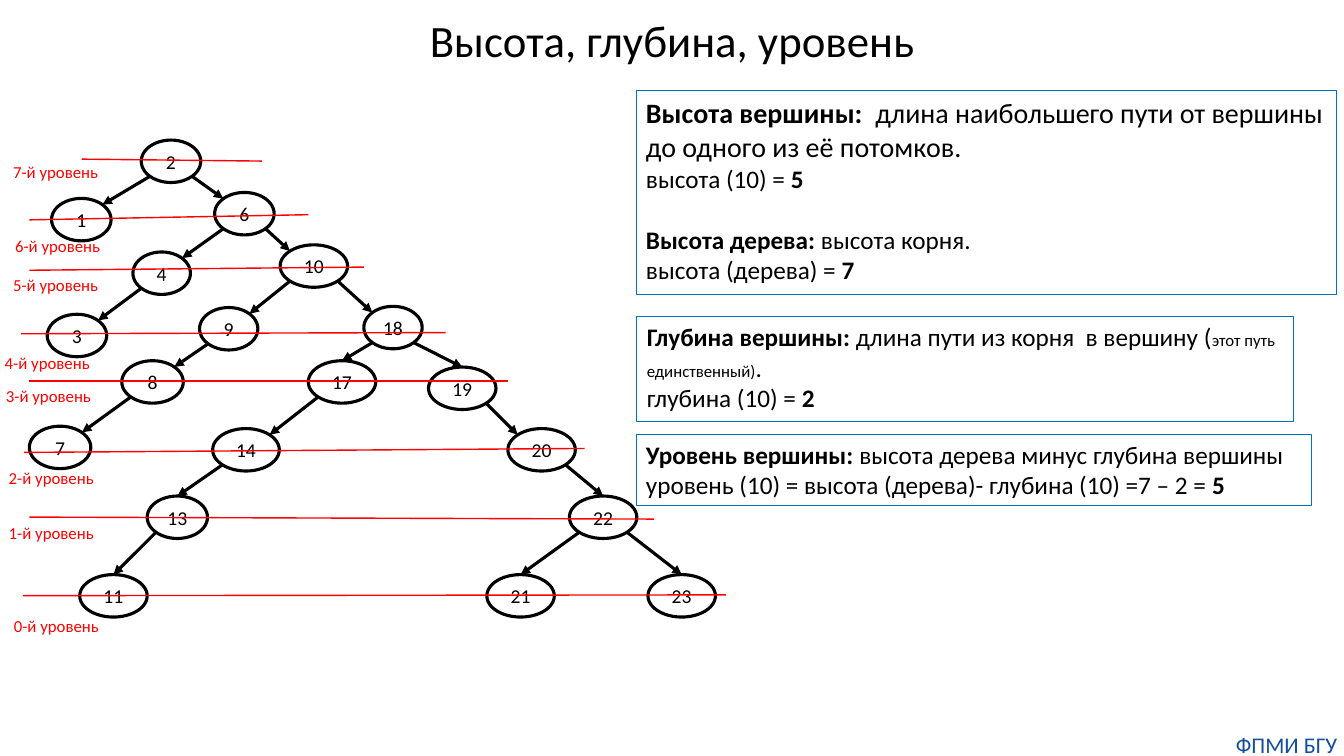
from pptx import Presentation
from pptx.dml.color import RGBColor
from pptx.enum.shapes import MSO_CONNECTOR, MSO_SHAPE
from pptx.enum.text import MSO_ANCHOR, MSO_AUTO_SIZE, PP_ALIGN
from pptx.oxml.ns import qn
from pptx.util import Cm, Pt
from lxml.etree import SubElement

COLORS = {"ink": "000000", "level": "FF0000", "frame": "0070C0", "footer": "144E9D"}
FONT = "Calibri"
TITLE = "Высота, глубина, уровень"
FOOTER = "ФПМИ БГУ"

# Tree vertices: key -> left, top, width (cm)
VERTEX_HEIGHT = 1.07
VERTICES = {
    2: (3.56, 3.53, 1.5), 1: (1.3, 5, 1.5), 6: (5.41, 4.85, 1.5),
    4: (3.35, 6.35, 1.45), 10: (7.06, 6.17, 1.7), 3: (1.19, 7.92, 1.5),
    9: (5.03, 7.75, 1.47), 18: (9.17, 7.72, 1.47), 8: (3.07, 9.09, 1.55),
    17: (7.77, 9.09, 1.7), 19: (10.8, 9.25, 1.7), 7: (0.74, 10.74, 1.55),
    14: (5.36, 10.8, 1.68), 20: (12.8, 10.8, 1.7), 13: (3.71, 12.5, 1.52),
    22: (14.35, 12.5, 1.7), 11: (2.01, 14.48, 1.7), 21: (12.27, 14.48, 1.7),
    23: (16.33, 14.48, 1.7),
}
CHILDREN = {2: (1, 6), 6: (4, 10), 4: (3,), 10: (9, 18), 9: (8,), 8: (7,),
            18: (17, 19), 17: (14,), 14: (13,), 13: (11,), 19: (20,),
            20: (22,), 22: (21, 23)}
ENTERED_AT_TOP = {17, 19, 13, 11, 22, 21, 23}

# Levels: number -> label position, line ends (cm)
LEVELS = {
    7: ((0.08, 3.94), (2.06, 4.01, 6.6, 4.06)),
    6: ((0.13, 5.82), (0.74, 5.54, 7.77, 5.41)),
    5: ((0.08, 6.81), (0.74, 6.81, 9.17, 6.73)),
    4: ((-0.13, 8.76), (0.53, 8.41, 11.23, 8.38)),
    3: ((-0.1, 9.6), (0.74, 9.6, 12.8, 9.6)),
    2: ((-0.03, 11.66), (0.61, 11.4, 14.73, 11.3)),
    1: ((-0.03, 13.06), (0.74, 13.03, 16.48, 13.08)),
    0: ((0.1, 15.39), (0.58, 15.01, 18.29, 14.99)),
}

# Definitions: box, then paragraphs as (space before, runs of (text, size, bold))
DEFINITIONS = [
    ((16.03, 2.29, 17.65, 5.13), [
        (0, [("Высота вершины:  ", 20, True),
             ("длина наибольшего пути от вершины до одного из её потомков. ", 20, False)]),
        (0, [("высота (10) = ", 18, False), ("5 ", 18, True)]),
        (22, [("Высота дерева: ", 18, True), ("высота корня.", 18, False)]),
        (0, [("высота (дерева) = ", 18, False), ("7", 18, True)])]),
    ((16.05, 7.98, 16.54, 2.64), [
        (0, [("Глубина вершины: ", 18, True), ("длина пути из корня  в вершину (", 18, False),
             ("этот путь единственный)", 12, False), (".", 18, False)]),
        (0, [("глубина (10) = ", 18, False), ("2", 18, True)])]),
    ((16.03, 10.95, 17.02, 1.8), [
        (0, [("Уровень вершины: ", 18, True),
             ("высота дерева минус глубина вершины", 18, False)]),
        (0, [("уровень (10) = высота (дерева)- глубина (10) =7 – 2 = ", 18, False),
             ("5", 18, True)])]),
]


def style(font, size, color, bold=None):
    font.name, font.size, font.bold = FONT, Pt(size), bold
    font.color.rgb = RGBColor.from_string(COLORS[color])


def add_outline(kind, box, color, width):
    outline = slide.shapes.add_shape(kind, *map(Cm, box))
    outline.shadow.inherit = False
    outline.fill.background()
    outline.line.color.rgb = RGBColor.from_string(COLORS[color])
    outline.line.width = Pt(width)
    return outline


def add_line(ends, color, width, arrow=False):
    line = slide.shapes.add_connector(MSO_CONNECTOR.STRAIGHT, *map(Cm, ends))
    line.line.color.rgb = RGBColor.from_string(COLORS[color])
    line.line.width = Pt(width)
    properties = line._element.spPr
    if arrow:
        SubElement(properties.find(qn("a:ln")), qn("a:tailEnd"), type="triangle")
    SubElement(properties, qn("a:effectLst"))


def add_label(text, box, size, color):
    frame = slide.shapes.add_textbox(*map(Cm, box)).text_frame
    frame.text = text
    frame.word_wrap = False
    style(frame.paragraphs[0].font, size, color)
    return frame


def rim_point(vertex, dx, dy):
    """Point on the vertex outline, in half-axes from its centre."""
    left, top, width = VERTICES[vertex]
    return left + width * (1 + dx) / 2, top + VERTEX_HEIGHT * (1 + dy) / 2


deck = Presentation()
deck.slide_width, deck.slide_height = Cm(33.87), Cm(19.05)
slide = deck.slides.add_slide(deck.slide_layouts[5])

# Title
title = slide.shapes.title
title.left, title.top, title.width, title.height = map(Cm, (10.52, 0.18, 12.85, 1.63))
heading = title.text_frame
heading.text = TITLE
heading.word_wrap = False
heading.vertical_anchor = MSO_ANCHOR.MIDDLE
heading.paragraphs[0].alignment = PP_ALIGN.CENTER
style(heading.paragraphs[0].font, 32, "ink")

# Vertices
for key, (left, top, width) in VERTICES.items():
    vertex = add_outline(MSO_SHAPE.OVAL, (left, top, width, VERTEX_HEIGHT), "ink", 2.25)
    frame = vertex.text_frame
    frame.text = str(key)
    frame.word_wrap = False
    frame.vertical_anchor = MSO_ANCHOR.MIDDLE
    frame.paragraphs[0].alignment = PP_ALIGN.CENTER
    style(frame.paragraphs[0].font, 14, "ink")

# Edges leave and enter on the diagonals, or enter at the top
DIAGONAL = 0.71
for parent, children in CHILDREN.items():
    for child in children:
        side = DIAGONAL if VERTICES[child][0] > VERTICES[parent][0] else -DIAGONAL
        entry = (0, -1) if child in ENTERED_AT_TOP else (-side, -DIAGONAL)
        add_line(rim_point(parent, side, DIAGONAL) + rim_point(child, *entry),
                 "ink", 2.25, arrow=True)

# Definitions
for box, paragraphs in DEFINITIONS:
    frame = add_outline(MSO_SHAPE.RECTANGLE, box, "frame", 0.75).text_frame
    frame.word_wrap = True
    frame.auto_size = MSO_AUTO_SIZE.SHAPE_TO_FIT_TEXT
    frame.vertical_anchor = MSO_ANCHOR.TOP
    for index, (space, runs) in enumerate(paragraphs):
        paragraph = frame.add_paragraph() if index else frame.paragraphs[0]
        paragraph.alignment = PP_ALIGN.LEFT
        paragraph.space_before = Pt(space)
        for text, size, bold in runs:
            run = paragraph.add_run()
            run.text = text
            style(run.font, size, "ink", bold)

# Levels
for number, (position, ends) in LEVELS.items():
    add_line(ends, "level", 1)
    add_label(f"{number}-й уровень", position + (2.67, 0.76), 12, "level")

# Footer
footer = add_label(FOOTER, (30.99, 18.42, 2.87, 0.69), 16, "footer")
footer.margin_left = footer.margin_right = footer.margin_top = footer.margin_bottom = 0
footer.paragraphs[0].alignment = PP_ALIGN.CENTER

deck.save("out.pptx")
